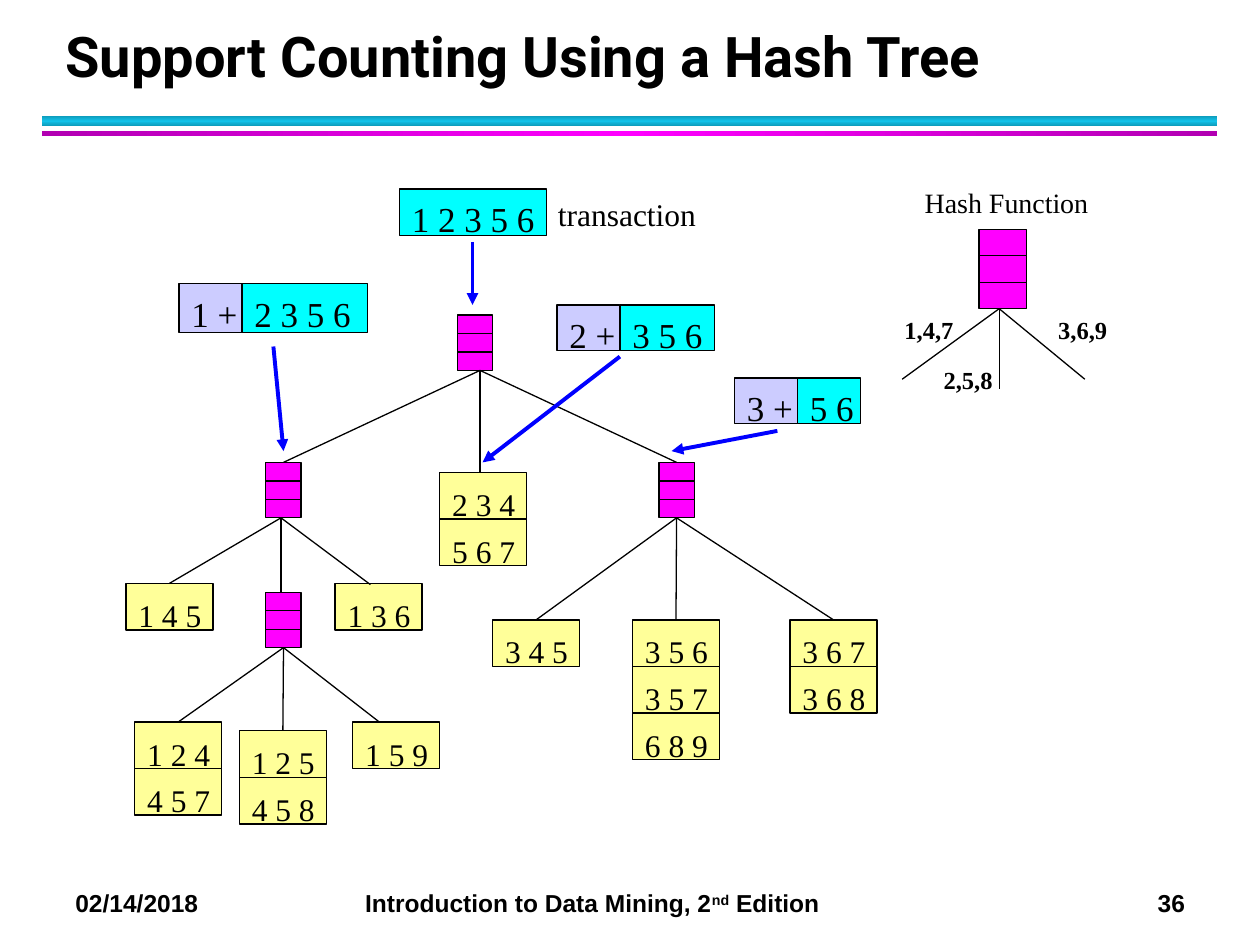
from copy import deepcopy
from dataclasses import dataclass

from lxml import etree
from pptx import Presentation
from pptx import util as u
from pptx.dml.color import RGBColor
from pptx.enum import shapes, text
from pptx.oxml.ns import qn


@dataclass(frozen=True)
class Theme:
    black: str = "000000"
    bucket: str = "FF00FF"
    leaf: str = "FFFF99"
    prefix: str = "CCCCFF"
    items: str = "00FFFF"
    arrow: str = "0000FF"
    bar_top: tuple = ("0E9BBA", "12C2E9", "0E9BBA")
    bar_bottom: tuple = ("B200B2", "FF00FF", "B200B2")
    serif: str = "Times New Roman"
    sans: str = "Arial"
    display: str = "Roboto"
    title: int = 32
    item: int = 20
    body: int = 18
    caption: int = 16
    small: int = 14
    thin: float = 0.75
    thick: float = 2.25


class Deck:
    def __init__(self, s, theme):
        self.s, self.t = s, theme
        self.boxes = []

    def run(self, p, words, size, font=None, bold=False):
        r = p.add_run()
        r.text = words
        r.font.size, r.font.bold = u.Pt(size), bold
        r.font.name = font or self.t.serif
        r.font.color.rgb = RGBColor.from_string(self.t.black)
        return r

    def frame(self, sp, anchor, wrap=False, left=0.1, top=0.05, right=0.1, bottom=0.05):
        tf = sp.text_frame
        tf.word_wrap, tf.vertical_anchor = wrap, anchor
        tf.margin_left, tf.margin_top = u.Inches(left), u.Inches(top)
        tf.margin_right, tf.margin_bottom = u.Inches(right), u.Inches(bottom)
        return tf.paragraphs[0]

    def shape(self, x, y, w, h):
        sp = self.s.shapes.add_shape(
            shapes.MSO_SHAPE.RECTANGLE, *map(u.Inches, (x, y, w, h)))
        sp.shadow.inherit = False
        return sp

    def bar(self, x, y, w, h, colours, angle):
        sp = self.shape(x, y, w, h)
        sp.line.fill.background()
        sp.fill.gradient()
        sp.fill.gradient_angle = angle
        stops = sp._element.spPr.find(".//" + qn("a:gsLst"))
        stops.append(deepcopy(stops[0]))
        for i, (stop, colour) in enumerate(zip(sp.fill.gradient_stops, colours)):
            stop.position = i / 2
            stop.color.rgb = RGBColor.from_string(colour)

    def box(self, x, y, w, h, fill, words="", size=None, top=0.0):
        sp = self.shape(x, y, w, h)
        sp.fill.solid()
        sp.fill.fore_color.rgb = RGBColor.from_string(fill)
        sp.line.color.rgb = RGBColor.from_string(self.t.black)
        sp.line.width = u.Pt(self.t.thin)
        if words:
            p = self.frame(sp, text.MSO_ANCHOR.TOP, top=top, right=0, bottom=0)
            p.alignment = text.PP_ALIGN.LEFT
            self.run(p, words, size)
        self.boxes.append((sp, x + w / 2, y, y + h))

    def label(self, x, y, w, h, words, size, bold=False):
        sp = self.s.shapes.add_textbox(*map(u.Inches, (x, y, w, h)))
        self.run(self.frame(sp, text.MSO_ANCHOR.BOTTOM), words, size, bold=bold)

    def side_at(self, point):
        for sp, x, top, bottom in self.boxes:
            for site, y in ((0, top), (2, bottom)):
                if max(abs(point[0] - x), abs(point[1] - y)) < 0.015:
                    return sp, site
        return None

    def line(self, start, end, arrow=False):
        c = self.s.shapes.add_connector(
            shapes.MSO_CONNECTOR.STRAIGHT, *map(u.Inches, (*start, *end)))
        for join, point in ((c.begin_connect, start), (c.end_connect, end)):
            site = self.side_at(point)
            if site:
                join(*site)
        c.line.color.rgb = RGBColor.from_string(self.t.arrow if arrow else self.t.black)
        c.line.width = u.Pt(self.t.thick if arrow else self.t.thin)
        if arrow:
            etree.SubElement(c.line._get_or_add_ln(), qn("a:tailEnd"), type="triangle")
        etree.SubElement(c._element.spPr, qn("a:effectLst"))

    def bucket(self, x, y, w=0.28, h=0.44):
        self.box(x, y, w, h, self.t.bucket)
        for i in (1, 2):
            self.line((x, y + h * i / 3), (x + w, y + h * i / 3))

    def leaf(self, x, y, *itemsets):
        for i, words in enumerate(itemsets):
            self.box(x, y + 0.37 * i, 0.69, 0.37, self.t.leaf, words, self.t.body, 0.1)

    def split(self, x, y, h, w, prefix, rest):
        self.box(x, y, 0.5, h, self.t.prefix, prefix, self.t.item, 0.07)
        self.box(x + 0.5, y, w, h, self.t.items, rest, self.t.item, 0.07)

    def branches(self, start, *ends):
        for end in ends:
            self.line(start, end)

    def title(self, words):
        sp = self.s.shapes.add_textbox(*map(u.Inches, (0.42, 0.17, 9.06, 0.58)))
        p = self.frame(sp, text.MSO_ANCHOR.BOTTOM, wrap=True)
        p.line_spacing = u.Pt(36)
        self.run(p, words, self.t.title, self.t.display, True)

    def footer(self, date, book, edition, suffix, page):
        sp = self.s.shapes.add_textbox(*map(u.Inches, (0.5, 7, 9.33, 0.34)))
        p = self.frame(sp, text.MSO_ANCHOR.TOP, wrap=True)
        tabs = etree.SubElement(p._p.get_or_add_pPr(), qn("a:tabLst"))
        for stop in (2.3, 8.59):
            etree.SubElement(tabs, qn("a:tab"), pos=str(u.Inches(stop)), algn="l")
        for words, base in ((f"{date}\t{book}", 0), (edition, 30), (f"{suffix}\t{page}", 0)):
            r = self.run(p, words, self.t.small, self.t.sans, True)
            if base:
                r.font._element.set("baseline", str(base * 1000))


def main():
    prs = Presentation()
    prs.slide_width, prs.slide_height = u.Inches(10), u.Inches(7.5)
    t = Theme()
    d = Deck(prs.slides.add_slide(prs.slide_layouts[6]), t)

    d.bar(0.33, 0.92, 9.33, 0.08, t.bar_top, 90)
    d.bar(0.33, 1.04, 9.33, 0.04, t.bar_bottom, 0)
    d.footer("02/14/2018", "Introduction to Data Mining, 2", "nd", " Edition", "36")
    d.title("Support Counting Using a Hash Tree")

    for x, y in ((3.63, 2.5), (2.11, 3.67), (5.23, 3.67), (2.11, 4.7)):
        d.bucket(x, y)
    for leaf in (
        (3.49, 3.75, "2 3 4", "5 6 7"),
        (1, 4.63, "1 4 5"),
        (2.66, 4.63, "1 3 6"),
        (3.91, 4.92, "3 4 5"),
        (5.02, 4.92, "3 5 6", "3 5 7", "6 8 9"),
        (6.27, 4.92, "3 6 7", "3 6 8"),
        (1.07, 5.73, "1 2 4", "4 5 7"),
        (1.9, 5.8, "1 2 5", "4 5 8"),
        (2.8, 5.73, "1 5 9"),
    ):
        d.leaf(*leaf)
    d.branches((3.81, 2.94), (2.25, 3.68), (3.81, 3.75), (5.37, 3.68))
    d.branches((2.23, 4.11), (1.35, 4.64), (2.23, 4.7), (2.94, 4.64))
    d.branches((5.37, 4.11), (4.26, 4.92), (5.37, 4.92), (6.61, 4.92))
    d.branches((2.25, 5.14), (1.42, 5.73), (2.25, 5.8), (3.01, 5.73))

    d.box(3.17, 1.5, 1.17, 0.37, t.items, "1 2 3 5 6", t.item, 0.07)
    d.label(4.33, 1.5, 1.3, 0.4, "transaction", t.body)
    d.split(1.42, 2.25, 0.39, 1, "1 +", "2 3 5 6")
    d.split(4.42, 2.42, 0.36, 0.75, "2 +", "3 5 6")
    d.split(5.83, 3, 0.36, 0.5, "3 +", "5 6")
    for start, end in (
        ((3.75, 1.92), (3.75, 2.42)),
        ((2.17, 2.75), (2.25, 3.58)),
        ((4.92, 2.83), (3.83, 3.67)),
        ((6.17, 3.42), (5.33, 3.58)),
    ):
        d.line(start, end, arrow=True)

    d.label(7.24, 1.42, 1.51, 0.37, "Hash Function", t.caption)
    d.bucket(7.77, 1.82, 0.38, 0.63)
    d.branches((7.93, 2.45), (7.16, 3.01), (7.93, 3.09), (8.61, 3.01))
    for x, y, words in ((7.08, 2.45, "1,4,7"), (7.39, 2.85, "2,5,8"), (8.3, 2.45, "3,6,9")):
        d.label(x, y, 0.59, 0.33, words, t.small, bold=True)

    prs.save("out.pptx")


if __name__ == "__main__":
    main()
